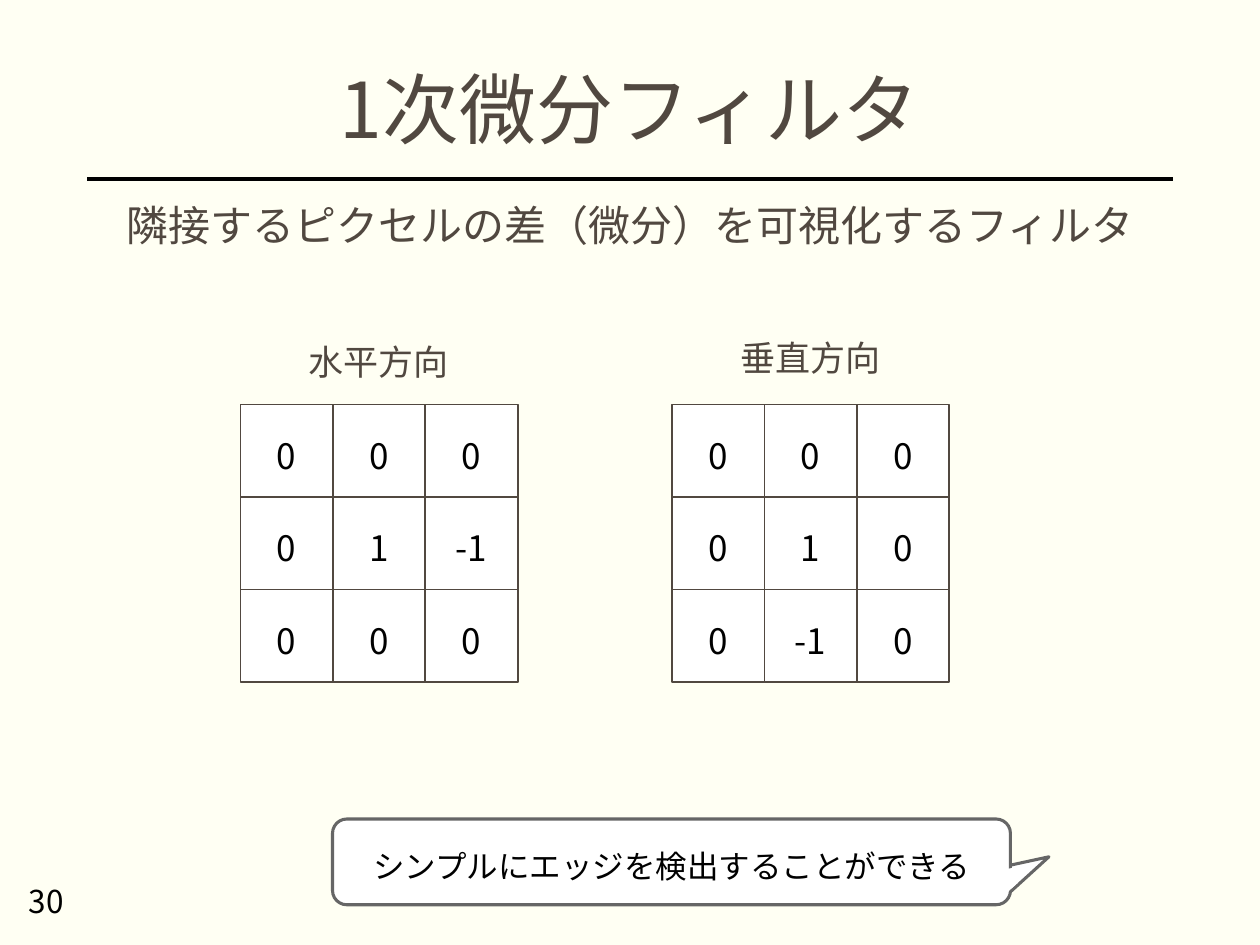
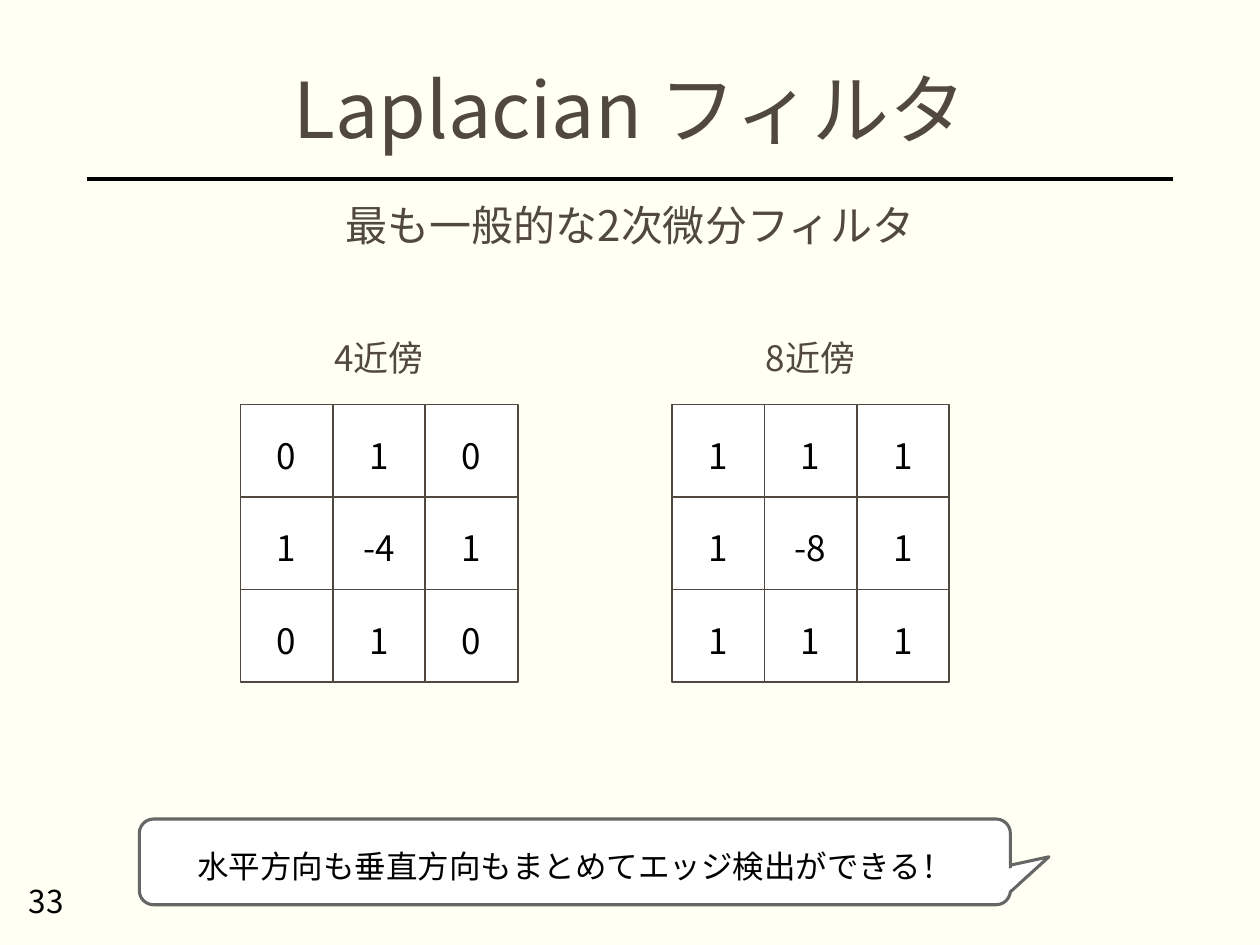
from lxml.etree import SubElement
from pptx import Presentation
from pptx.dml.color import RGBColor
from pptx.enum.shapes import MSO_CONNECTOR, MSO_SHAPE
from pptx.enum.text import MSO_ANCHOR as Anchor, MSO_AUTO_SIZE as AutoSize, PP_ALIGN as Align
from pptx.oxml.ns import qn
from pptx.util import Pt

FONT = "Noto Sans CJK JP"
COLORS = {
    "background": "FFFFF3",
    "brown": "514840",
    "black": "000000",
    "white": "FFFFFF",
    "gray": "666666",
}
MARGIN, CONTENT_WIDTH = 49.7, 620.6
RULE_TOP = 102.2
CELL = 52.8
GRID_TOP = 231.2
GRID_LEFTS = (137.4, 384)
CAPTION_WIDTH, CAPTION_HEIGHT = 128, 31.7
CALLOUT_TOP, CALLOUT_RIGHT, CALLOUT_HEIGHT = 468, 577.4, 49
TAIL_POINTS = ((576.4, 494.6), (599.4, 489.6), (576.4, 510.5))
TAIL_COVERS = ((571.7, 493.9, 6.5, 12.2, 78), (573.8, 501.1, 5.8, 7.9, 47.5))


def color(name):
    return RGBColor.from_string(COLORS[name])


def box(left, top, width, height):
    return Pt(left), Pt(top), Pt(width), Pt(height)


def write_text(frame, text, size=20, ink="black", align=Align.CENTER, anchor=Anchor.TOP,
               wrap=True, insets=(7.2, 3.6, 7.2, 3.6), line_spacing=None, space_before=0):
    frame.text = text
    frame.auto_size = AutoSize.NONE
    frame.word_wrap = wrap
    frame.vertical_anchor = anchor
    frame.margin_left, frame.margin_top, frame.margin_right, frame.margin_bottom = map(Pt, insets)
    paragraph = frame.paragraphs[0]
    paragraph.alignment = align
    paragraph.space_before = Pt(space_before)
    if line_spacing:
        paragraph.line_spacing = line_spacing
    font = paragraph.runs[0].font
    font.size = Pt(size)
    font.name = FONT
    font.color.rgb = color(ink)
    SubElement(font._element, qn("a:ea")).set("typeface", FONT)


def style_shape(shape, line=None, line_width=1):
    shape.shadow.inherit = False
    shape.fill.solid()
    shape.fill.fore_color.rgb = color("white")
    if line:
        shape.line.color.rgb = color(line)
        shape.line.width = Pt(line_width)
    else:
        shape.line.fill.background()


def fill_placeholder(placeholder, bounds, text, **text_format):
    placeholder.left, placeholder.top, placeholder.width, placeholder.height = box(*bounds)
    write_text(placeholder.text_frame, text, ink="brown", line_spacing=0.9, **text_format)


def remove_bullet(paragraph):
    properties = paragraph._p.get_or_add_pPr()
    properties.set("marL", "0")
    properties.set("indent", "0")
    SubElement(properties, qn("a:buNone"))


def add_label(slide, bounds, text, **text_format):
    label = slide.shapes.add_textbox(*box(*bounds))
    write_text(label.text_frame, text, **text_format)


def add_rule(slide):
    rule = slide.shapes.add_connector(
        MSO_CONNECTOR.STRAIGHT, Pt(MARGIN + CONTENT_WIDTH), Pt(RULE_TOP), Pt(MARGIN), Pt(RULE_TOP))
    rule.line.color.rgb = color("black")
    rule.line.width = Pt(2)
    SubElement(rule._element.spPr, qn("a:effectLst"))


def add_kernel(slide, left, caption, rows, caption_top=188.6):
    group = slide.shapes.add_group_shape()
    for row_index, row in enumerate(rows):
        for column_index, value in enumerate(row):
            cell = group.shapes.add_shape(MSO_SHAPE.RECTANGLE, *box(
                left + column_index * CELL, GRID_TOP + row_index * CELL, CELL, CELL))
            style_shape(cell, line="brown")
            write_text(cell.text_frame, str(value), anchor=Anchor.MIDDLE,
                       insets=(5.8, 8.6, 5.8, 3.6))
    caption_left = left + (3 * CELL - CAPTION_WIDTH) / 2
    add_label(slide, (caption_left, caption_top, CAPTION_WIDTH, CAPTION_HEIGHT),
              caption, ink="brown")


def add_callout(slide, text, width):
    start, *others = [(Pt(x), Pt(y)) for x, y in TAIL_POINTS]
    builder = slide.shapes.build_freeform(*start)
    builder.add_line_segments(others, close=True)
    style_shape(builder.convert_to_shape(), line="gray", line_width=1.75)

    bubble = slide.shapes.add_shape(MSO_SHAPE.ROUNDED_RECTANGLE, *box(
        CALLOUT_RIGHT - width, CALLOUT_TOP, width, CALLOUT_HEIGHT))
    style_shape(bubble, line="gray", line_width=1.75)
    write_text(bubble.text_frame, text, size=18, anchor=Anchor.MIDDLE, wrap=False,
               insets=(7.2, 8.6, 7.2, 3.6))

    for *bounds, rotation in TAIL_COVERS:
        cover = slide.shapes.add_shape(MSO_SHAPE.RECTANGLE, *box(*bounds))
        cover.rotation = rotation
        style_shape(cover)


def add_filter_slide(presentation, title, summary, number):
    slide = presentation.slides.add_slide(presentation.slide_layouts[1])
    add_rule(slide)
    fill_placeholder(slide.shapes.title, (MARGIN, 33.8, CONTENT_WIDTH, 62), title,
                     size=44, anchor=Anchor.MIDDLE)
    body = slide.placeholders[1]
    fill_placeholder(body, (MARGIN, 113.8, CONTENT_WIDTH, 54), summary,
                     size=24, space_before=10)
    remove_bullet(body.text_frame.paragraphs[0])
    add_label(slide, (9.4, 500.4, 162, 28.8), number, size=18, align=Align.LEFT)
    return slide


def main():
    presentation = Presentation()
    presentation.slide_width, presentation.slide_height = Pt(720), Pt(540)
    background = presentation.slide_master.background.fill
    background.solid()
    background.fore_color.rgb = color("background")
    left_grid, right_grid = GRID_LEFTS

    slide = add_filter_slide(presentation, "1次微分フィルタ",
                             "隣接するピクセルの差（微分）を可視化するフィルタ", "30")
    add_kernel(slide, left_grid, "水平方向", ((0, 0, 0), (0, 1, -1), (0, 0, 0)), caption_top=190.8)
    add_kernel(slide, right_grid, "垂直方向", ((0, 0, 0), (0, 1, 0), (0, -1, 0)))
    add_callout(slide, "シンプルにエッジを検出することができる", 387.4)

    slide = add_filter_slide(presentation, "Laplacian フィルタ",
                             "最も一般的な2次微分フィルタ", "33")
    add_kernel(slide, left_grid, "4近傍", ((0, 1, 0), (1, -4, 1), (0, 1, 0)))
    add_kernel(slide, right_grid, "8近傍", ((1, 1, 1), (1, -8, 1), (1, 1, 1)))
    add_callout(slide, "水平方向も垂直方向もまとめてエッジ検出ができる！", 497.8)

    presentation.save("out.pptx")


if __name__ == "__main__":
    main()
